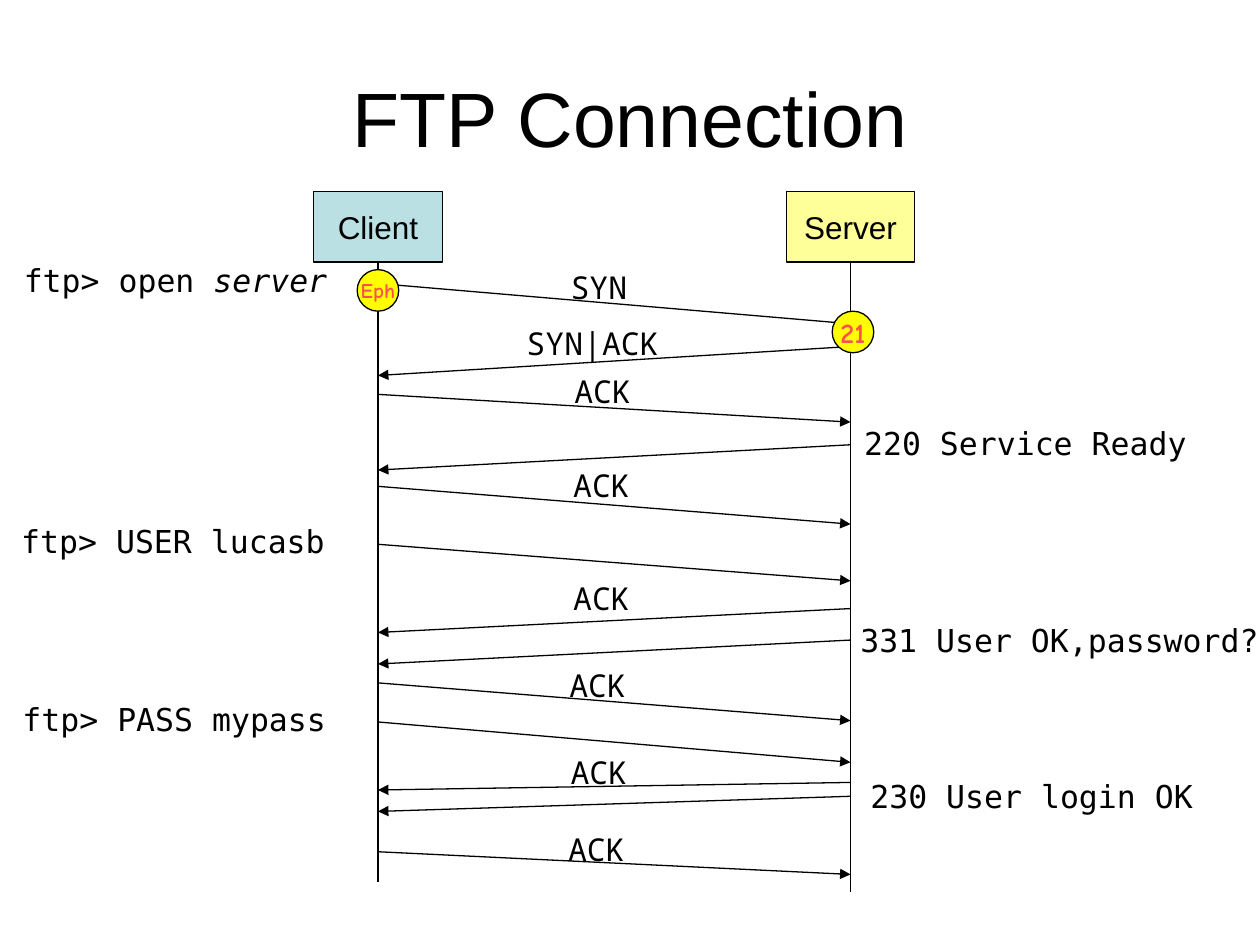
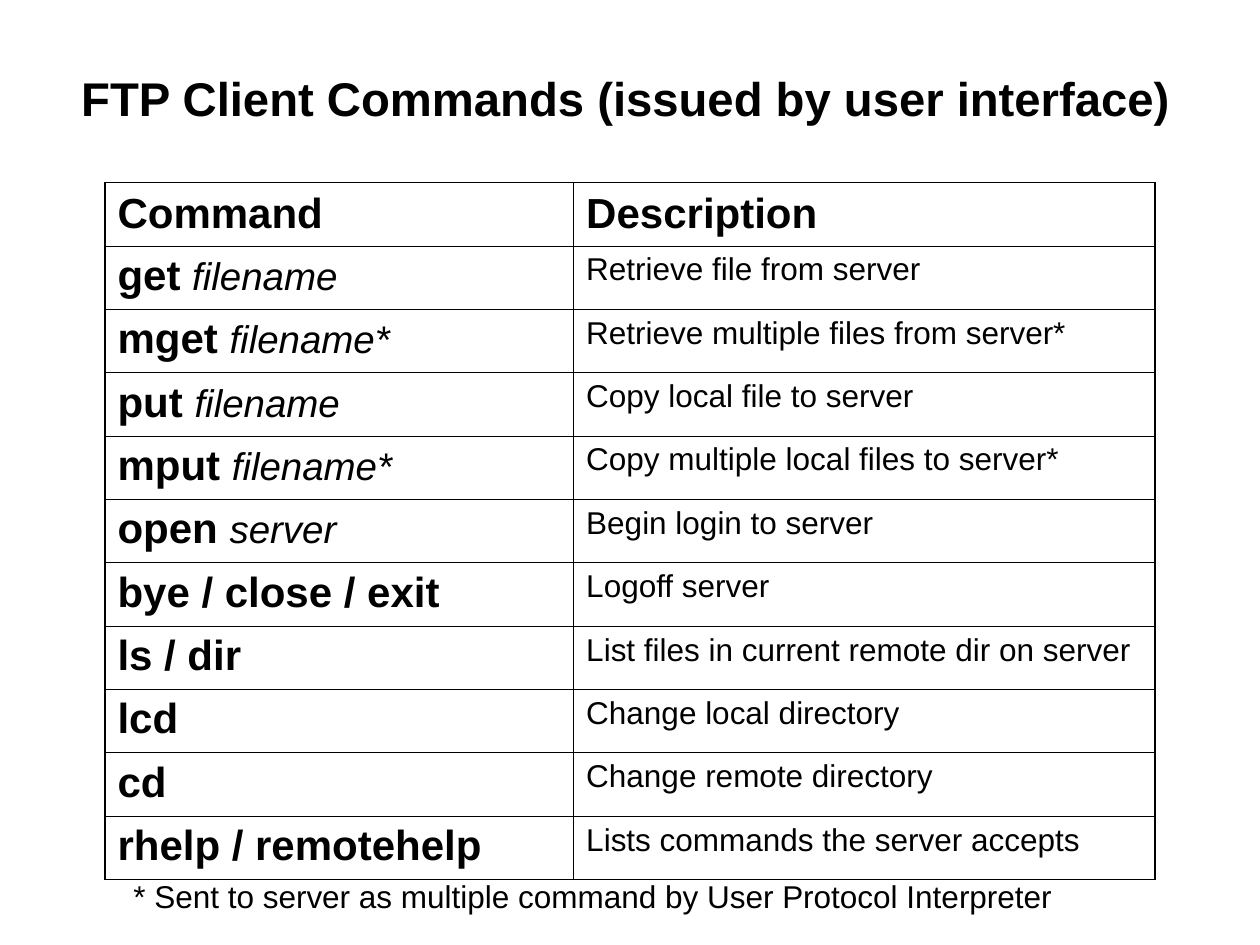
"""Build two slides on FTP: the login exchange and the client commands."""
import pptx
import pptx.dml.color
import pptx.enum.shapes
import pptx.enum.text
import pptx.oxml
import pptx.oxml.ns
import pptx.util


class Theme:
    ink, blue, cream = "000000", "BBE0E3", "FFFF99"
    gold, red = "FFFF00", "FF5050"
    sans, code, mono, hand = "Arial", "DejaVu Sans Mono", "Noto Sans Mono", "Comic Neue"
    title, sub, head, arg, text, port, tag = 44, 27, 24, 22, 18, 16, 12
    thin, hair, edge = 0.75, 0.45, 1.08


deck = pptx.Presentation()
deck.slide_width = pptx.util.Inches(10)
deck.slide_height = pptx.util.Inches(7.5)
cell = deck.slide_width / 100
rgb = pptx.dml.color.RGBColor.from_string
kinds = pptx.enum.shapes.MSO_SHAPE
mid = pptx.enum.text.MSO_ANCHOR.MIDDLE
center = pptx.enum.text.PP_ALIGN.CENTER
grow = pptx.enum.text.MSO_AUTO_SIZE.SHAPE_TO_FIT_TEXT


def write(frame, text, size, font=Theme.sans, bold=False, slant="", small=None,
          color=Theme.ink, align=None, wrap=False):
    para = frame.paragraphs[0]
    para.add_run().text = text
    para.alignment = align
    para.font.size = pptx.util.Pt(size)
    para.font.name = font
    para.font.bold = bold
    para.font.color.rgb = rgb(color)
    frame.word_wrap = wrap
    if slant:
        run = para.add_run()
        run.text = slant
        run.font.italic = True
        run.font.bold = False
        run.font.size = pptx.util.Pt(small or size)


def draw(slide, x1, y1, x2, y2, head=True):
    ends = [round(v * cell) for v in (x1, y1, x2, y2)]
    line = slide.shapes.add_connector(pptx.enum.shapes.MSO_CONNECTOR.STRAIGHT, *ends)
    line.line.width = pptx.util.Pt(Theme.thin)
    line.line.color.rgb = rgb(Theme.ink)
    props = line._element.spPr
    if head:
        props.get_or_add_ln().append(pptx.oxml.parse_xml(
            f'<a:tailEnd {pptx.oxml.ns.nsdecls("a")} type="triangle"/>'))
    props.append(pptx.oxml.parse_xml(f'<a:effectLst {pptx.oxml.ns.nsdecls("a")}/>'))
    return line


slides = []
for text, size, bold, spot in (
    ("FTP Connection", Theme.title, False, (5, 3, 90, 12.5)),
    ("FTP Client Commands (issued by user interface)", Theme.sub, True,
     (3, 1.5, 93.3, 12.5)),
):
    slide = deck.slides.add_slide(deck.slide_layouts[5])
    title = slide.shapes.title
    title.left, title.top, title.width, title.height = [round(v * cell) for v in spot]
    title.text_frame.vertical_anchor = mid
    write(title.text_frame, text, size, bold=bold, align=center, wrap=True)
    slides.append(slide)
flow, cmds = slides

left, right = 30, 67.5
wide, tall, disc = 10.2, 5.6, 3.3
nodes = (
    (kinds.RECTANGLE, "Client", left, 18, wide, tall, Theme.blue,
     Theme.text, Theme.sans, Theme.ink, 70),
    (kinds.RECTANGLE, "Server", right, 18, wide, tall, Theme.cream,
     Theme.text, Theme.sans, Theme.ink, 70.8),
    (kinds.OVAL, "21", right + 0.2, 26.35, disc, disc, Theme.gold,
     Theme.port, Theme.hand, Theme.red, None),
    (kinds.OVAL, "Eph", left, 23.05, disc, disc, Theme.gold,
     Theme.tag, Theme.hand, Theme.red, None),
)

calls = (
    (True, 22.5, 25.7), (False, 27.5, 29.8), (True, 31.3, 33.5),
    (False, 35.3, 37.3), (True, 38.6, 41.6), (True, 43.2, 46.1),
    (False, 48.3, 50.2), (False, 50.8, 52.7), (True, 54.2, 57.2),
    (True, 57.3, 60.5), (False, 62.1, 62.7), (False, 63.2, 64.4),
    (True, 67.6, 69.4),
)
for ahead, start, stop in calls:
    ends = (left, right) if ahead else (right, left)
    draw(flow, ends[0], start, ends[1], stop)

notes = (
    ("ftp> open ", "server", 0.9, 20.2, Theme.code),
    ("ftp> USER lucasb", "", 0.7, 40.9, Theme.code),
    ("ftp> PASS mypass", "", 0.8, 55.1, Theme.code),
    ("220 Service Ready", "", 67.6, 33.2, Theme.code),
    ("331 User OK,password?", "", 67.3, 48.8, Theme.code),
    ("230 User login OK", "", 68.1, 61.2, Theme.code),
    ("SYN", "", 44.3, 20.8, Theme.mono),
    ("SYN|ACK", "", 40.8, 25.2, Theme.mono),
    ("ACK", "", 44.6, 29, Theme.mono),
    ("ACK", "", 44.5, 36.5, Theme.mono),
    ("ACK", "", 44.5, 45.5, Theme.mono),
    ("ACK", "", 44.2, 52.4, Theme.mono),
    ("ACK", "", 44.3, 59.3, Theme.mono),
    ("ACK", "", 44.1, 65.4, Theme.mono),
)
for text, slant, x, y, font in notes:
    span = min(1.51 * len(text + slant) + 1, 100 - x)
    box = flow.shapes.add_textbox(*[round(v * cell) for v in (x, y, span, 4)])
    box.text_frame.margin_right = 0
    box.text_frame.auto_size = grow
    write(box.text_frame, text, Theme.text, font, slant=slant)

for kind, text, x, y, w, h, fill, size, font, color, foot in nodes:
    spot = (x - w / 2, y - h / 2, w, h)
    node = flow.shapes.add_shape(kind, *[round(v * cell) for v in spot])
    node.shadow.inherit = False
    node.fill.solid()
    node.fill.fore_color.rgb = rgb(fill)
    node.line.color.rgb = rgb(Theme.ink)
    node.line.width = pptx.util.Pt(Theme.thin)
    node.text_frame.vertical_anchor = mid
    write(node.text_frame, text, size, font, kind == kinds.OVAL, color=color, align=center)
    if foot:
        draw(flow, x, y + h / 2, x, foot, head=False).begin_connect(node, 2)

rows = (
    ("Command", "", "Description"),
    ("get ", "filename", "Retrieve file from server"),
    ("mget ", "filename*", "Retrieve multiple files from server*"),
    ("put ", "filename", "Copy local file to server"),
    ("mput ", "filename*", "Copy multiple local files to server*"),
    ("open ", "server", "Begin login to server"),
    ("bye / close / exit", "", "Logoff server"),
    ("ls / dir", "", "List files in current remote dir on server"),
    ("lcd", "", "Change local directory"),
    ("cd", "", "Change remote directory"),
    ("rhelp / remotehelp", "", "Lists commands the server accepts"),
)
spot = (8.33, 14.5, 83.35, 5.03 * len(rows))
grid = cmds.shapes.add_table(len(rows), 2, *[round(v * cell) for v in spot]).table
grid.first_row = grid.horz_banding = False
for col, span in zip(grid.columns, (37.2, 46.15)):
    col.width = round(span * cell)
for r, (name, slant, about) in enumerate(rows):
    for c in range(2):
        box = grid.cell(r, c)
        outer = {"L": c == 0, "R": c == 1, "T": False, "B": r == len(rows) - 1}
        for side, rim in outer.items():
            width = pptx.util.Pt(Theme.edge if rim else Theme.hair)
            box._tc.get_or_add_tcPr().append(pptx.oxml.parse_xml(
                f'<a:ln{side} {pptx.oxml.ns.nsdecls("a")} w="{width}"><a:solidFill>'
                f'<a:srgbClr val="{Theme.ink}"/></a:solidFill></a:ln{side}>'))
        box.fill.background()
        if r == 0:
            box.vertical_anchor = mid
        if c == 0:
            write(box.text_frame, name, Theme.head, bold=True, slant=slant,
                  small=Theme.arg, wrap=True)
        else:
            write(box.text_frame, about, Theme.text if r else Theme.head,
                  bold=r == 0, wrap=True)

foot = cmds.shapes.add_textbox(*[round(v * cell) for v in (9.6, 69.1, 75, 4)])
foot.text_frame.auto_size = grow
write(foot.text_frame, "* Sent to server as multiple command by User Protocol Interpreter",
      Theme.text)

deck.save("out.pptx")
